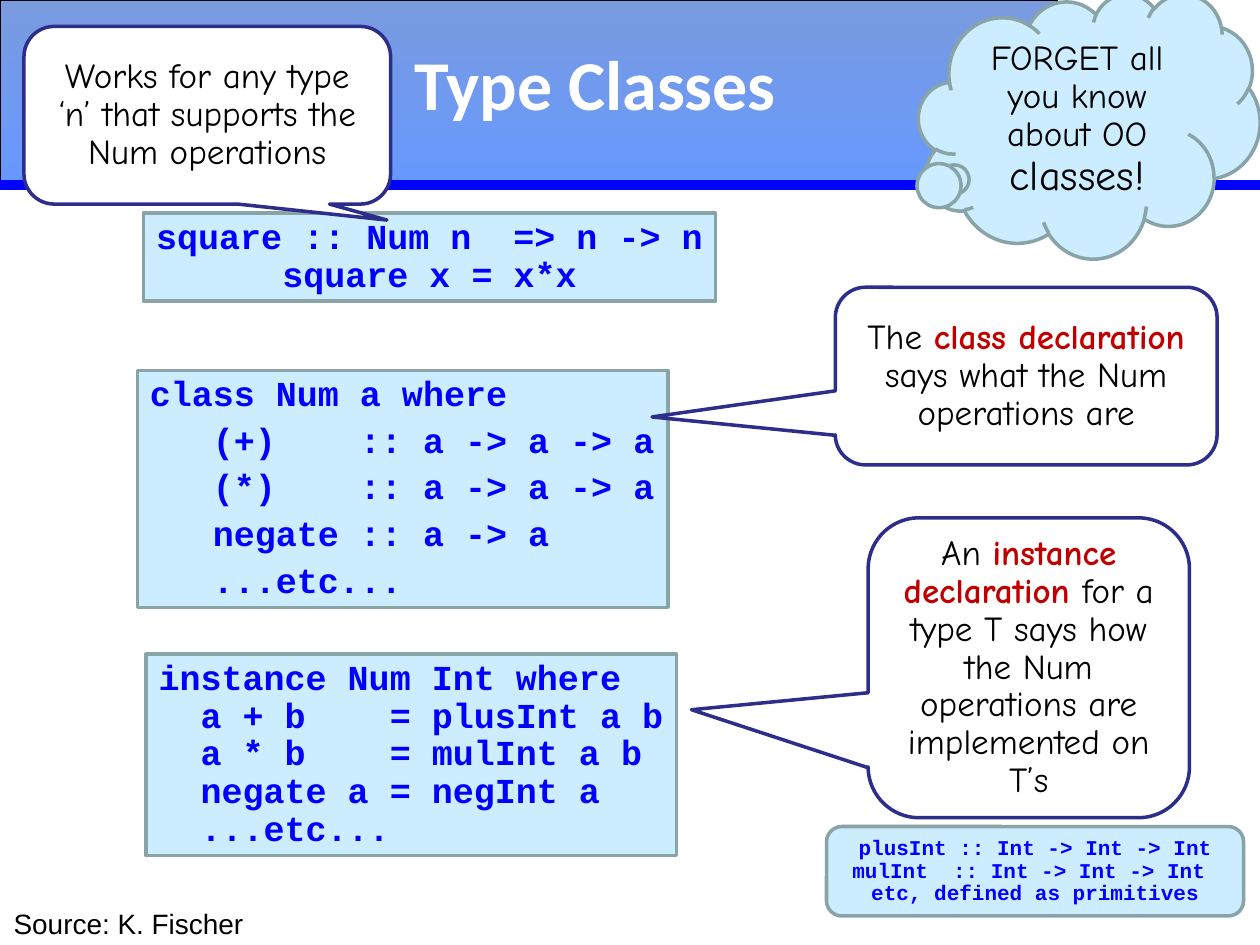
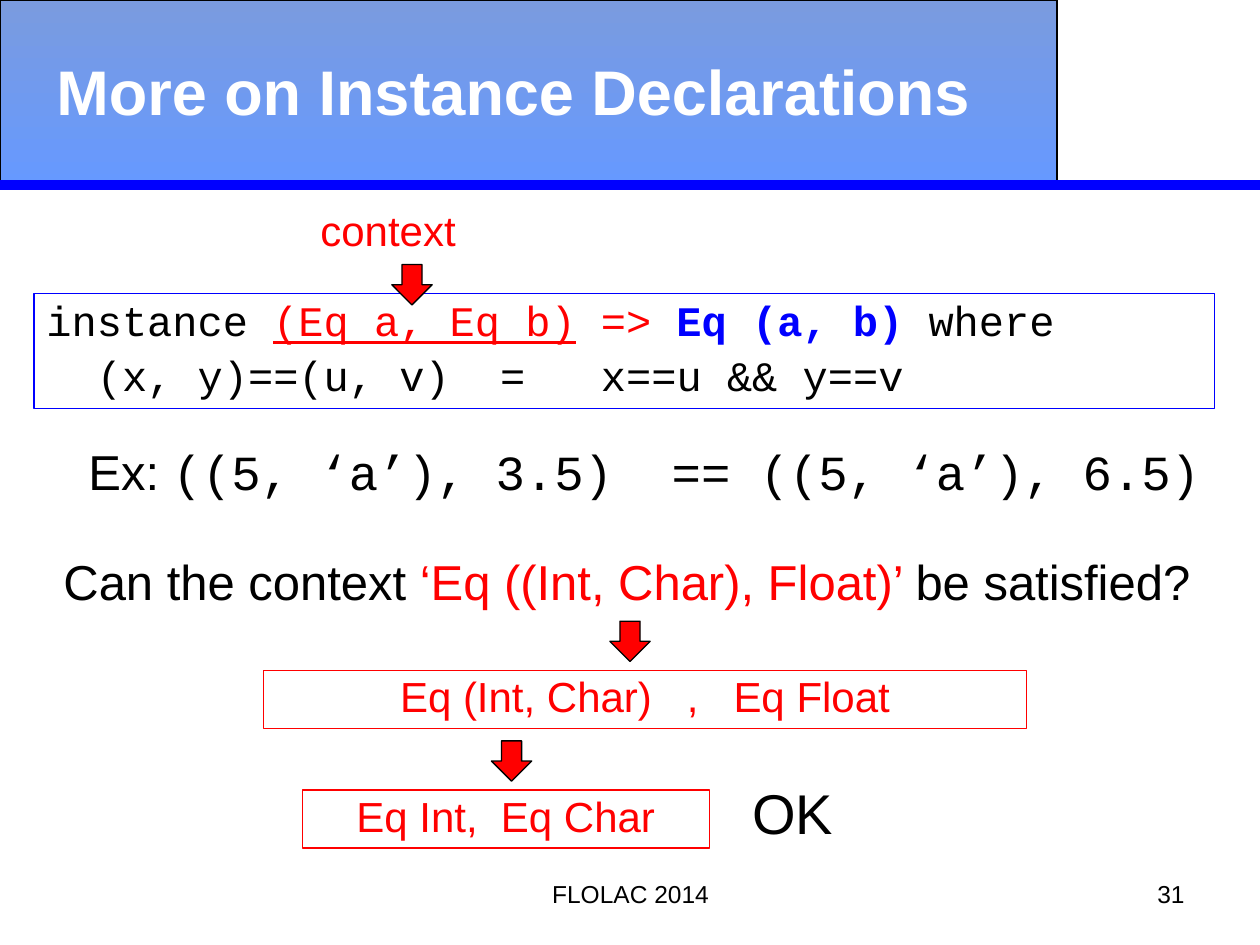
"""Build two slides on Haskell type classes and instance declarations."""
from dataclasses import dataclass
from typing import Optional

from lxml import etree
from pptx import Presentation
from pptx.dml.color import RGBColor
from pptx.enum.shapes import MSO_CONNECTOR, MSO_SHAPE
from pptx.enum.text import MSO_ANCHOR, PP_ALIGN
from pptx.oxml.ns import qn
from pptx.util import Pt

RECT = MSO_SHAPE.RECTANGLE
ROUND = MSO_SHAPE.ROUNDED_RECTANGLE
CLOUD = MSO_SHAPE.CLOUD_CALLOUT
WEDGE = MSO_SHAPE.ROUNDED_RECTANGULAR_CALLOUT
DOWN = MSO_SHAPE.DOWN_ARROW
STRAIGHT = MSO_CONNECTOR.STRAIGHT
TOP, MIDDLE = MSO_ANCHOR.TOP, MSO_ANCHOR.MIDDLE
LEFT, CENTER, RIGHT = PP_ALIGN.LEFT, PP_ALIGN.CENTER, PP_ALIGN.RIGHT

PX = 9144
WIDTH, HEIGHT = 1000, 750
BAND_W, BAND_H = 839, 147
SANS, MONO, COMIC, TITLE = "Arial", "Courier New", "Comic Neue", "Calibri"
COLORS = {
    "white": "FFFFFF",
    "black": "000000",
    "band_top": "7A9BDF",
    "band_bottom": "6699FF",
    "blue": "0000FF",
    "pale": "CCECFF",
    "gray": "89A4A7",
    "navy": "2D2D8A",
    "crimson": "C00000",
    "red": "FF0000",
}


@dataclass(frozen=True)
class Run:
    """A stretch of text whose format differs from its box."""
    text: str
    color: Optional[str] = None
    bold: Optional[bool] = None
    underline: bool = False
    size: Optional[int] = None
    font: Optional[str] = None


@dataclass(frozen=True)
class Box:
    """A place on the slide in px."""
    x: int
    y: int
    w: int
    h: int

    def emu(self) -> list[int]:
        """Return left, top, width and height in EMU."""
        return [v * PX for v in (self.x, self.y, self.w, self.h)]


@dataclass(frozen=True)
class Style:
    """Fill, line and line width of a shape."""
    fill: Optional[str]
    line: str
    width: float


CODE = Style("pale", "gray", 2)
NOTE = Style("white", "navy", 2)
BLUE_FRAME = Style(None, "blue", 0.75)
RED_FRAME = Style(None, "red", 0.75)
ARROW = Style("red", "black", 0.75)

CODE_TEXT = dict(font=MONO, color="blue", bold=True, spacing=0.9)
NOTE_TEXT = dict(font=COMIC, align=CENTER, anchor=MIDDLE, spacing=0.9)
LINE_TEXT = dict(align=CENTER, spacing=0.9)


def rgb(name: str) -> RGBColor:
    """Return a named colour."""
    return RGBColor.from_string(COLORS[name])


def write(sp, paras, *, size=20, font=SANS, color="black", bold=False,
          align=LEFT, anchor=TOP, spacing=1.0, before=0, wrap=True) -> None:
    """Write paragraphs, each a string or a list of runs, into a shape."""
    tf = sp.text_frame
    tf.word_wrap = wrap
    tf.vertical_anchor = anchor
    for i, para in enumerate(paras):
        p = tf.add_paragraph() if i else tf.paragraphs[0]
        p.alignment = align
        p.line_spacing = spacing
        p.space_before = Pt(before if i else 0)
        for part in [Run(para)] if isinstance(para, str) else para:
            r = p.add_run()
            r.text = part.text
            r.font.name = part.font or font
            r.font.size = Pt(part.size or size)
            r.font.bold = bold if part.bold is None else part.bold
            r.font.underline = part.underline
            r.font.color.rgb = rgb(part.color or color)


def add_text(s, box: Box, *paras, **fmt) -> None:
    """Add a plain text box."""
    write(s.shapes.add_textbox(*box.emu()), paras, **fmt)


def add_shape(s, kind, box: Box, style: Style, *paras, adj=(), **fmt):
    """Add a preset shape with its adjustments and text."""
    sp = s.shapes.add_shape(kind, *box.emu())
    sp.shadow.inherit = False
    for i, value in enumerate(adj):
        sp.adjustments[i] = value
    if style.fill:
        sp.fill.solid()
        sp.fill.fore_color.rgb = rgb(style.fill)
    else:
        sp.fill.background()
    sp.line.color.rgb = rgb(style.line)
    sp.line.width = Pt(style.width)
    if paras:
        write(sp, paras, **fmt)
    return sp


def add_slide(prs, title: str, box: Box, font: str, size: int):
    """Add a slide with the gradient band, the blue rule and a title."""
    s = prs.slides.add_slide(prs.slide_layouts[6])
    band = add_shape(s, RECT, Box(0, 0, BAND_W, BAND_H),
                     Style(None, "black", 0.75))
    band.fill.gradient()
    band.fill.gradient_angle = 270
    for stop, name in zip(band.fill.gradient_stops, ("band_top", "band_bottom")):
        stop.color.rgb = rgb(name)
    rule = s.shapes.add_connector(STRAIGHT, 0, BAND_H * PX,
                                  WIDTH * PX, BAND_H * PX)
    rule.line.color.rgb = rgb("blue")
    rule.line.width = Pt(6)
    etree.SubElement(rule._element.spPr, qn("a:effectLst"))
    add_text(s, box, title, font=font, size=size, color="white",
             bold=True, anchor=MIDDLE)
    return s


def add_footer(s, text: str, number: int) -> None:
    """Add the footer text and the slide number."""
    add_text(s, Box(342, 693, 317, 52), text, size=14, align=CENTER)
    add_text(s, Box(717, 693, 233, 52), str(number), size=14, align=RIGHT)


def build_type_classes(prs) -> None:
    """Build the slide that introduces type classes."""
    s = add_slide(prs, "Type Classes", Box(319, 0, 472, 131), TITLE, 40)
    add_shape(s, RECT, Box(114, 169, 454, 70), CODE,
              "square :: Num n  => n -> n", "square x = x*x",
              align=CENTER, wrap=False, **CODE_TEXT)
    add_shape(s, RECT, Box(109, 294, 421, 188), CODE,
              "class Num a where",
              "   (+)    :: a -> a -> a",
              "   (*)    :: a -> a -> a",
              "   negate :: a -> a",
              "   ...etc...",
              before=5, wrap=False, **CODE_TEXT)
    add_shape(s, CLOUD, Box(729, -5, 271, 210), CODE,
              [Run("FORGET all you know about OO "), Run("classes!", size=24)],
              adj=(-0.39, 0.2), **NOTE_TEXT)
    add_shape(s, WEDGE, Box(663, 228, 303, 141), NOTE,
              [Run("The "), Run("class declaration ", "crimson", True),
               Run("says what the Num operations are")],
              adj=(-0.98, 0.23, 0.17), **NOTE_TEXT)
    add_shape(s, WEDGE, Box(19, 21, 291, 141), NOTE,
              "Works for any type ‘n’ that supports the Num operations",
              adj=(0.49, 0.59, 0.17), **NOTE_TEXT)
    add_shape(s, RECT, Box(116, 519, 421, 160), CODE,
              "instance Num Int where",
              "  a + b    = plusInt a b",
              "  a * b    = mulInt a b",
              "  negate a = negInt a",
              "  ...etc...",
              wrap=False, **CODE_TEXT)
    add_shape(s, WEDGE, Box(689, 411, 255, 238), NOTE,
              [Run("An "), Run("instance declaration ", "crimson", True),
               Run("for a type T says how the Num operations are "
                   "implemented on T’s")],
              adj=(-1.05, 0.14, 0.17), **NOTE_TEXT)
    add_shape(s, ROUND, Box(656, 656, 331, 71), CODE,
              "plusInt :: Int -> Int -> Int",
              "mulInt  :: Int -> Int -> Int ",
              "etc, defined as primitives",
              adj=(0.17,), size=12, align=CENTER, anchor=MIDDLE, **CODE_TEXT)
    add_text(s, Box(1, 718, 202, 34), "Source: K. Fischer",
             size=16, wrap=False, **LINE_TEXT)


def build_instances(prs) -> None:
    """Build the slide on instance declarations with a context."""
    s = add_slide(prs, "More on Instance Declarations",
                  Box(35, 13, 756, 118), SANS, 36)
    add_footer(s, "FLOLAC 2014", 31)
    add_shape(s, RECT, Box(27, 233, 937, 91), BLUE_FRAME,
              [Run("instance "), Run("(Eq a, Eq b)", "red", underline=True),
               Run(" => ", "red"), Run("Eq (a, b) ", "blue", True),
               Run("where")],
              "  (x, y)==(u, v)  =   x==u && y==v",
              font=MONO, size=24, spacing=0.9, before=6)
    add_text(s, Box(240, 162, 136, 46), "context",
             size=24, color="red", wrap=False, **LINE_TEXT)
    add_text(s, Box(40, 438, 915, 52),
             [Run("Can the context "),
              Run("‘Eq ((Int, Char), Float)’ ", "red"),
              Run("be satisfied?")],
             size=28, wrap=False, **LINE_TEXT)
    add_text(s, Box(43, 351, 937, 52),
             [Run("Ex: "),
              Run("((5, ‘a’), 3.5)  == ((5, ‘a’), 6.5)", font=MONO)],
             size=28, **LINE_TEXT)
    for box, text in ((Box(209, 532, 606, 46), "Eq (Int, Char)   ,   Eq Float"),
                      (Box(240, 627, 323, 46), "Eq Int,  Eq Char")):
        add_shape(s, RECT, box, RED_FRAME, text,
                  size=24, color="red", **LINE_TEXT)
    for x, y in ((311, 210), (484, 493), (390, 588)):
        add_shape(s, DOWN, Box(x, y, 32, 32), ARROW)
    add_text(s, Box(587, 619, 84, 58), "OK",
             size=32, wrap=False, **LINE_TEXT)


def main() -> None:
    """Build and save the presentation."""
    prs = Presentation()
    prs.slide_width, prs.slide_height = WIDTH * PX, HEIGHT * PX
    build_type_classes(prs)
    build_instances(prs)
    prs.save("out.pptx")


if __name__ == "__main__":
    main()
